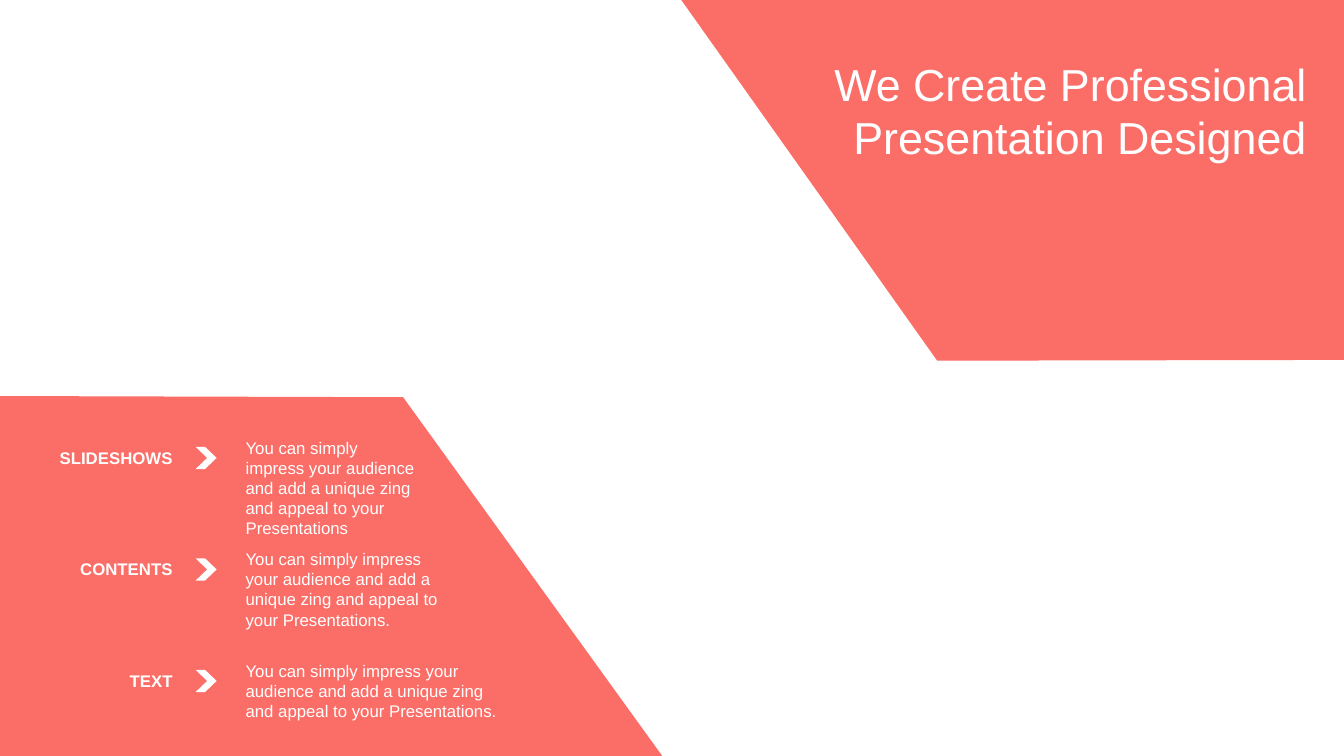
"""Build a slide with two slanted panels, a title and three labelled rows."""
from dataclasses import dataclass

from pptx import Presentation
from pptx.dml.color import RGBColor
from pptx.enum.shapes import MSO_SHAPE
from pptx.enum.text import MSO_AUTO_SIZE, PP_ALIGN
from pptx.util import Cm, Pt

CHEVRON = MSO_SHAPE.CHEVRON
GROW = MSO_AUTO_SIZE.SHAPE_TO_FIT_TEXT
LEFT, RIGHT = PP_ALIGN.LEFT, PP_ALIGN.RIGHT
CORAL, WHITE = "FB6D67", "FFFFFF"
WIDE, HIGH = 33.87, 19.05
TOP, PITCH = 11.15, 2.81


@dataclass
class Row:
    label: str
    text: str
    width: float
    height: float


PITCHLINE = ("You can simply impress your audience and add a unique zing "
             "and appeal to your Presentations")
ROWS = [
    Row("SLIDESHOWS", PITCHLINE, 4.85, 2.82),
    Row("CONTENTS", PITCHLINE + ".", 5.64, 2.31),
    Row("TEXT", PITCHLINE + ".", 7.01, 1.8),
]
PANELS = [
    [(0, 9.98), (10.16, 10.01), (16.69, HIGH), (0, HIGH)],
    [(WIDE, 9.07), (23.62, 9.09), (17.17, 0), (WIDE, 0)],
]


def paint(shape, color: str) -> None:
    shape.shadow.inherit = False
    shape.fill.solid()
    shape.fill.fore_color.rgb = RGBColor.from_string(color)
    shape.line.fill.background()


def write(shapes, text: str, left: float, top: float, width: float,
          height: float, *, size: int = 12, bold: bool = False, align=LEFT,
          inset: tuple = (0.25, 0.13, 0.25, 0.13)) -> None:
    box = shapes.add_textbox(Cm(left), Cm(top), Cm(width), Cm(height))
    frame = box.text_frame
    frame.word_wrap = True
    frame.auto_size = GROW
    (frame.margin_left, frame.margin_top,
     frame.margin_right, frame.margin_bottom) = map(Cm, inset)
    para = frame.paragraphs[0]
    para.alignment = align
    run = para.add_run()
    run.text = text
    run.font.name = "Arial"
    run.font.size = Pt(size)
    run.font.bold = bold
    run.font.color.rgb = RGBColor.from_string(WHITE)


def draw_panel(shapes, points: list) -> None:
    first, *rest = [(Cm(x), Cm(y)) for x, y in points]
    pen = shapes.build_freeform(*first)
    pen.add_line_segments(rest)
    paint(pen.convert_to_shape(), CORAL)


def draw_row(shapes, row: Row, top: float) -> None:
    group = shapes.add_group_shape().shapes
    write(group, row.label, 0.38, top, 4.22, 0.78, bold=True, align=RIGHT)
    write(group, row.text, 5.94, top - 0.26, row.width, row.height)
    mark = group.add_shape(CHEVRON, Cm(4.93), Cm(top + 0.11), Cm(0.53), Cm(0.56))
    mark.adjustments[0] = 0.55
    paint(mark, WHITE)


def main() -> None:
    deck = Presentation()
    deck.slide_width, deck.slide_height = Cm(WIDE), Cm(HIGH)
    shapes = deck.slides.add_slide(deck.slide_layouts[6]).shapes
    for points in PANELS:
        draw_panel(shapes, points)
    for i, row in enumerate(ROWS):
        draw_row(shapes, row, TOP + i * PITCH)
    write(shapes, "We Create Professional Presentation Designed",
          18.24, 1.42, 14.78, 2.74, size=32, align=RIGHT,
          inset=(0.13, 0, 0.08, 0))
    deck.save("out.pptx")


if __name__ == "__main__":
    main()
